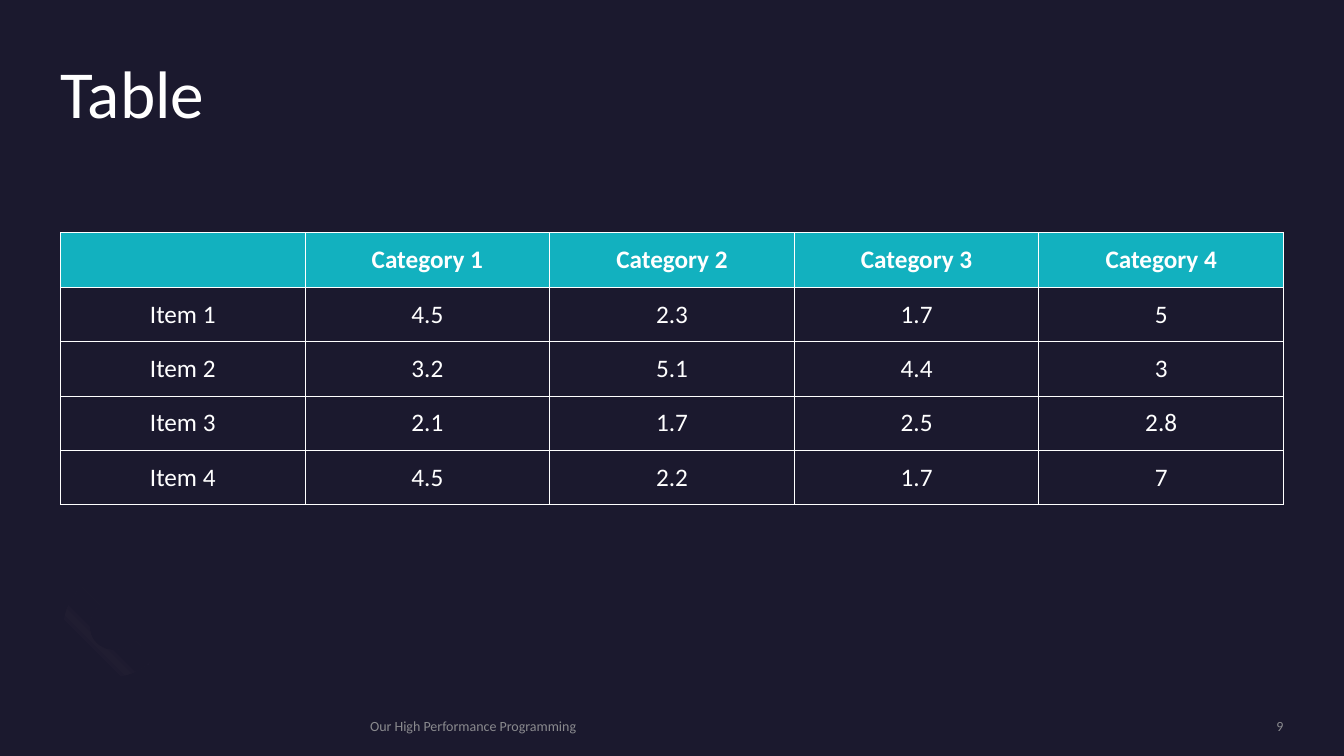
from copy import deepcopy

from lxml.etree import SubElement
from pptx import Presentation
from pptx.dml.color import RGBColor
from pptx.enum.shapes import MSO_SHAPE
from pptx.enum.text import MSO_ANCHOR, MSO_AUTO_SIZE, PP_ALIGN
from pptx.oxml.ns import qn
from pptx.util import Inches, Pt

TITLE = "Table"
ROWS = [
    ("", "Category 1", "Category 2", "Category 3", "Category 4"),
    ("Item 1", "4.5", "2.3", "1.7", "5"),
    ("Item 2", "3.2", "5.1", "4.4", "3"),
    ("Item 3", "2.1", "1.7", "2.5", "2.8"),
    ("Item 4", "4.5", "2.2", "1.7", "7"),
]
FOOTERS = [
    ("Our High Performance Programming", 3.67, 6.98, PP_ALIGN.LEFT),
    ("9", 10.88, 1.85, PP_ALIGN.RIGHT),
]
WIDTH, HEIGHT, MARGIN = 13.33, 7.5, 0.6
CONTENT_WIDTH = WIDTH - 2 * MARGIN
TABLE_TOP, ROW_HEIGHT = 2.31, 0.54
FONT = "Calibri"
BACKGROUND, WHITE, TEAL = "1B192E", "FFFFFF", "12B1BF"
GREY, CAP, GLOW = "8A8A8E", "2C284A", "201D31"
CAPS = [(1.35, 6.37), (0.82, 5.83)]
CRESCENT = [
    [(0.76, 6.59), (0.56, 6.39), (0.58, 6.05), (0.81, 5.82)],
    [(0.99, 6), (0.87, 6.11), (0.86, 6.29), (0.96, 6.38)],
    [(0.96, 6.38), (1.06, 6.48), (1.23, 6.47), (1.35, 6.36)],
    [(1.52, 6.54), (1.3, 6.76), (0.95, 6.79), (0.76, 6.59)],
]
GLOW_STOPS = [(0.3, BACKGROUND), (0.38, GLOW), (0.46, BACKGROUND)]


def color(value):
    """Turn a hex string into a colour."""
    return RGBColor.from_string(value)


def write(frame, text, size, fill, align=PP_ALIGN.LEFT, bold=False):
    """Set one formatted paragraph of text."""
    frame.text = text
    para = frame.paragraphs[0]
    para.alignment = align
    for span in para.runs:
        span.font.name, span.font.size, span.font.bold = FONT, Pt(size), bold
        span.font.color.rgb = color(fill)


def clear_insets(frame):
    """Remove the margins inside a text frame."""
    frame.margin_left = frame.margin_right = 0
    frame.margin_top = frame.margin_bottom = 0
    frame.word_wrap = True


def curve(points, steps=12):
    """Sample a cubic curve in slide units."""
    for step in range(steps + 1):
        t = step / steps
        weights = ((1 - t) ** 3, 3 * t * (1 - t) ** 2, 3 * t * t * (1 - t), t ** 3)
        yield tuple(
            Inches(sum(w * p[axis] for w, p in zip(weights, points))) for axis in (0, 1))


def add_ornament(page):
    """Draw the faint crescent and its two end caps."""
    for left, top in CAPS:
        cap = page.shapes.add_shape(
            MSO_SHAPE.OVAL, Inches(left), Inches(top), Inches(0.06), Inches(0.26))
        cap.rotation = 135
        cap.shadow.inherit = False
        cap.fill.solid()
        cap.fill.fore_color.rgb = color(CAP)
        cap.line.fill.background()
    outline = [point for part in CRESCENT for point in curve(part)]
    builder = page.shapes.build_freeform(*outline[0])
    builder.add_line_segments(outline[1:], close=True)
    crescent = builder.convert_to_shape()
    crescent.shadow.inherit = False
    crescent.line.fill.background()
    crescent.fill.gradient()
    crescent.fill.gradient_angle = 45
    stops = crescent.element.spPr.find(qn("a:gradFill")).find(qn("a:gsLst"))
    stops.append(deepcopy(stops[-1]))
    for stop, (position, value) in zip(crescent.fill.gradient_stops, GLOW_STOPS):
        stop.position = position
        stop.color.rgb = color(value)


def add_borders(cell):
    """Give a cell thin white borders."""
    properties = cell._tc.get_or_add_tcPr()
    for side in ("lnL", "lnR", "lnT", "lnB"):
        line = SubElement(properties, qn(f"a:{side}"), w=str(Pt(0.75)))
        SubElement(SubElement(line, qn("a:solidFill")), qn("a:srgbClr"), val=WHITE)


def add_values(page):
    """Add the table of items and categories."""
    table = page.shapes.add_table(
        len(ROWS), len(ROWS[0]), Inches(MARGIN), Inches(TABLE_TOP),
        Inches(CONTENT_WIDTH), Inches(ROW_HEIGHT * len(ROWS))).table
    for number, values in enumerate(ROWS):
        header = number == 0
        for column, value in enumerate(values):
            cell = table.cell(number, column)
            cell.vertical_anchor = MSO_ANCHOR.MIDDLE
            write(cell.text_frame, value, 18, WHITE, PP_ALIGN.CENTER, header)
            add_borders(cell)
            if header:
                cell.fill.solid()
                cell.fill.fore_color.rgb = color(TEAL)
            else:
                cell.fill.background()


def main():
    """Build the slide."""
    deck = Presentation()
    deck.slide_width, deck.slide_height = Inches(WIDTH), Inches(HEIGHT)
    page = deck.slides.add_slide(deck.slide_layouts[5])
    page.background.fill.solid()
    page.background.fill.fore_color.rgb = color(BACKGROUND)
    add_ornament(page)

    title = page.shapes.title
    title.left, title.top = Inches(MARGIN), Inches(MARGIN)
    title.width, title.height = Inches(CONTENT_WIDTH), Inches(1.46)
    clear_insets(title.text_frame)
    title.text_frame.auto_size = MSO_AUTO_SIZE.NONE
    title.text_frame.vertical_anchor = MSO_ANCHOR.TOP
    write(title.text_frame, TITLE, 48, WHITE)
    title.text_frame.paragraphs[0].line_spacing = 0.9

    add_values(page)
    for text, left, width, align in FOOTERS:
        box = page.shapes.add_textbox(Inches(left), Inches(7.12), Inches(width), Inches(0.17))
        clear_insets(box.text_frame)
        box.text_frame.vertical_anchor = MSO_ANCHOR.MIDDLE
        write(box.text_frame, text, 10, GREY, align)
    deck.save("out.pptx")


if __name__ == "__main__":
    main()
